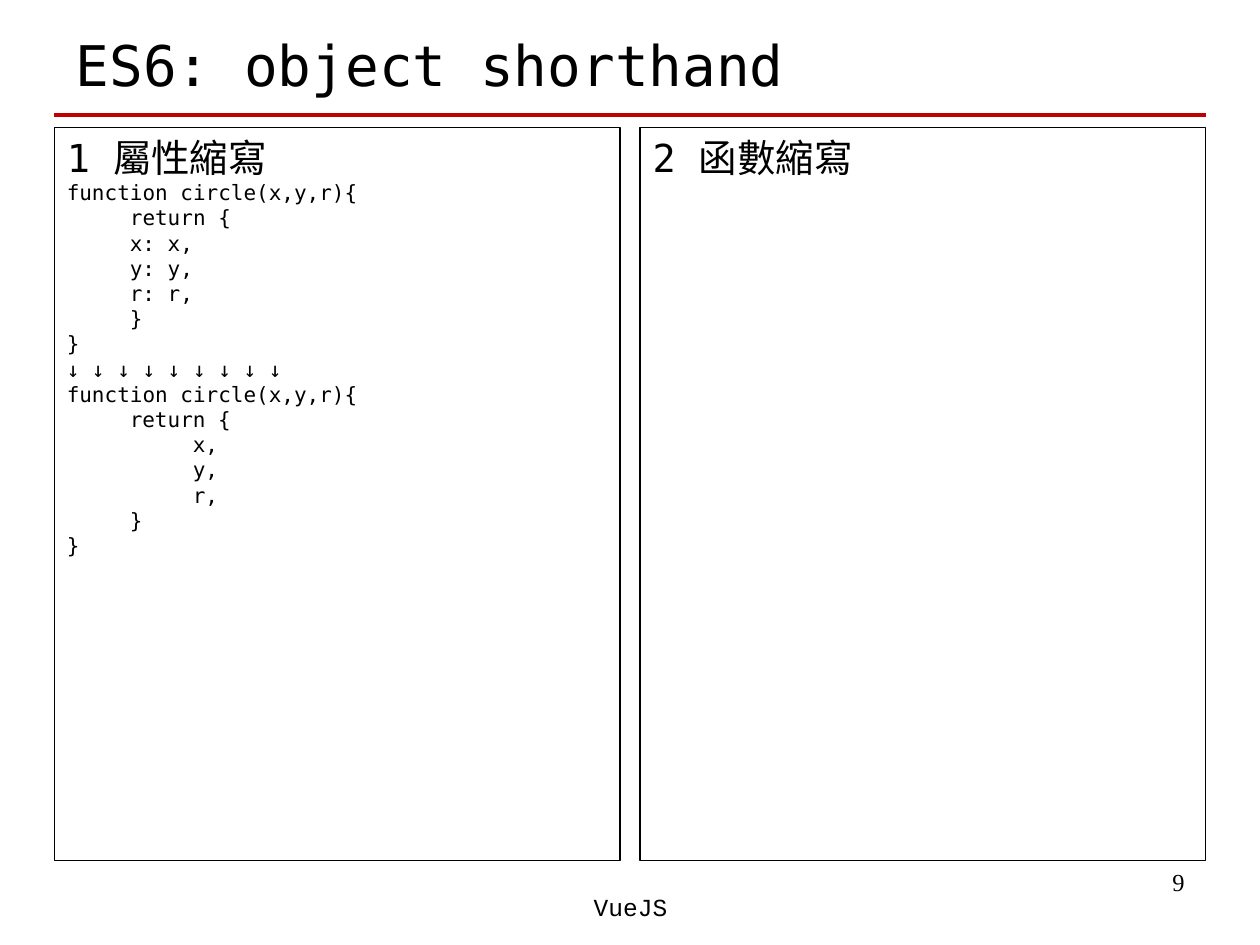
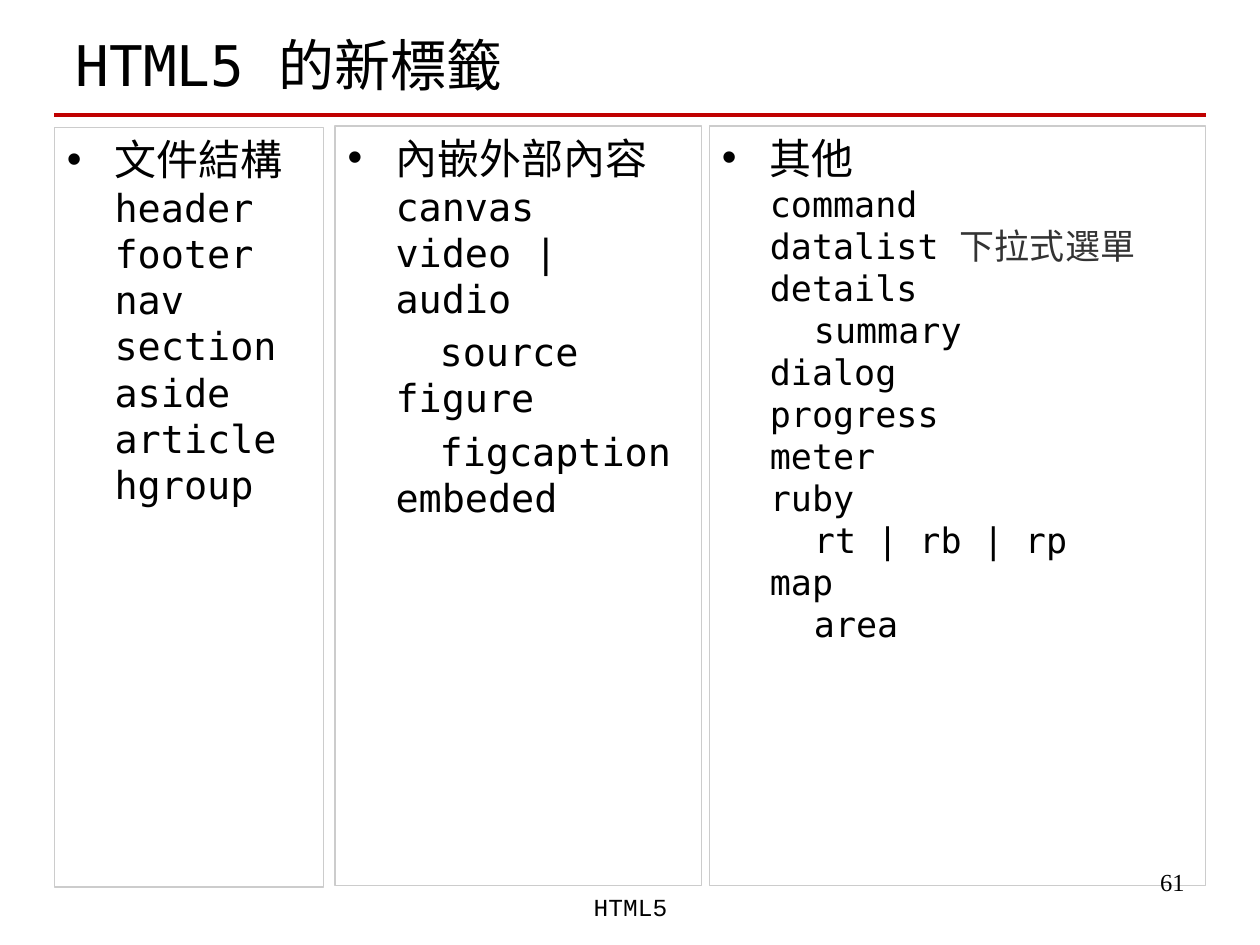
"""Build two slides of bordered panels on object shorthand and new tags."""
from dataclasses import dataclass

import lxml.etree
import pptx
import pptx.dml.color
import pptx.enum.shapes
import pptx.enum.text
import pptx.oxml.ns
import pptx.util

Inches = pptx.util.Inches
Pt = pptx.util.Pt
qn = pptx.oxml.ns.qn
Align = pptx.enum.text.PP_ALIGN
Anchor = pptx.enum.text.MSO_ANCHOR


@dataclass(frozen=True)
class Theme:
    """Colours, fonts, sizes and spacing shared by the slides."""

    ink: str = "000000"
    rule: str = "C00000"
    pale: str = "CCCCCC"
    note: str = "333333"
    mono: str = "DejaVu Sans Mono"
    cjk: str = "Noto Sans CJK TC"
    footer: str = "Courier New"
    number: str = "Times New Roman"
    title_size: int = 32
    footer_size: int = 14
    leading: float = 1.2
    hang: float = 0.38
    nest: float = 0.35
    margin: float = 0.43


THEME = Theme()


@dataclass(frozen=True)
class Line:
    """A line of a list, optionally nested or followed by a note."""

    text: str
    nested: bool = False
    note: str = ""


@dataclass(frozen=True)
class Panel:
    """A bordered panel with a heading and lines under it."""

    left: float
    top: float
    width: float
    height: float
    heading: str
    lines: tuple
    heading_size: int
    size: int
    border: str
    bulleted: bool = False
    nested_gap: int = 0


def code_panel(left, heading, code=""):
    """Describe a panel that holds a code listing."""
    lines = tuple(Line(text) for text in code.splitlines())
    return Panel(left, 1.01, 4.49, 5.82, heading, lines, 22, 12, THEME.ink)


def tag_panel(left, top, width, heading, lines, size=22, nested_gap=0):
    """Describe a panel that lists tags."""
    return Panel(left, top, width, 6.03, heading, lines, 24, size,
                 THEME.pale, True, nested_gap)


def rgb(value):
    """Turn a hex string into a colour."""
    return pptx.dml.color.RGBColor.from_string(value)


def format_run(r, size, font=THEME.mono, color=THEME.ink):
    """Set the font of a run for both Latin and Chinese text."""
    r.font.name = font
    r.font.size = Pt(size)
    r.font.bold = False
    r.font.color.rgb = rgb(color)
    latin = r.font._element.find(qn("a:latin"))
    ea = lxml.etree.Element(qn("a:ea"), typeface=THEME.cjk)
    latin.addnext(ea)


def place(sp, left, top, width, height):
    """Move and size a shape."""
    sp.left, sp.top = Inches(left), Inches(top)
    sp.width, sp.height = Inches(width), Inches(height)


def set_indent(p, margin, bulleted=False):
    """Set the indent, the bullet and one-inch tab stops of a paragraph."""
    pPr = p._p.get_or_add_pPr()
    pPr.set("marL", str(Inches(margin)))
    pPr.set("indent", str(Inches(-margin if bulleted else 0)))
    if bulleted:
        color = lxml.etree.SubElement(pPr, qn("a:buClr"))
        lxml.etree.SubElement(color, qn("a:srgbClr"), val=THEME.ink)
        lxml.etree.SubElement(pPr, qn("a:buFont"), typeface="Arial")
        lxml.etree.SubElement(pPr, qn("a:buChar"), char="•")
    else:
        lxml.etree.SubElement(pPr, qn("a:buNone"))
    tabs = lxml.etree.SubElement(pPr, qn("a:tabLst"))
    for stop in (1, 2):
        lxml.etree.SubElement(tabs, qn("a:tab"), pos=str(Inches(stop)), algn="l")


def format_line(p, text, size, gap=0):
    """Write a paragraph with fixed leading."""
    p.text = text
    p.line_spacing = Pt(size * THEME.leading)
    p.space_before = Pt(gap)
    p.space_after = Pt(0)
    format_run(p.runs[0], size)


def fill_panel(sp, panel):
    """Turn a body placeholder into a bordered panel."""
    place(sp, panel.left, panel.top, panel.width, panel.height)
    sp.fill.background()
    sp.line.color.rgb = rgb(panel.border)
    sp.line.width = Pt(0.75)
    tf = sp.text_frame
    tf.word_wrap = True
    tf.auto_size = pptx.enum.text.MSO_AUTO_SIZE.NONE
    tf.vertical_anchor = Anchor.TOP
    margin = THEME.hang if panel.bulleted else 0
    p = tf.paragraphs[0]
    set_indent(p, margin, panel.bulleted)
    format_line(p, panel.heading, panel.heading_size)
    for line in panel.lines:
        p = tf.add_paragraph()
        set_indent(p, margin + (THEME.nest if line.nested else 0))
        format_line(p, line.text, panel.size,
                    panel.nested_gap if line.nested else 0)
        if line.note:
            r = p.add_run()
            r.text = line.note
            format_run(r, panel.size, THEME.cjk, THEME.note)


def add_label(s, box, text, font, align):
    """Add a small text box at the foot of a slide."""
    sp = s.shapes.add_textbox(*map(Inches, box))
    tf = sp.text_frame
    tf.word_wrap = True
    tf.text = text
    p = tf.paragraphs[0]
    p.alignment = align
    format_run(p.runs[0], THEME.footer_size, font)


def add_rule(s):
    """Draw the rule under the title."""
    y = Inches(0.91)
    line = s.shapes.add_connector(
        pptx.enum.shapes.MSO_CONNECTOR.STRAIGHT,
        Inches(THEME.margin), y, Inches(10 - THEME.margin), y)
    line.line.color.rgb = rgb(THEME.rule)
    line.line.width = Pt(2.25)
    lxml.etree.SubElement(line._element.spPr, qn("a:effectLst"))


def set_title(s, text):
    """Place and write the slide title."""
    sp = s.shapes.title
    place(sp, 0.5, 0.13, 9, 0.76)
    tf = sp.text_frame
    tf.text = text
    tf.auto_size = pptx.enum.text.MSO_AUTO_SIZE.NONE
    tf.vertical_anchor = Anchor.MIDDLE
    p = tf.paragraphs[0]
    p.alignment = Align.LEFT
    format_run(p.runs[0], THEME.title_size)


def add_slide(prs, title, number, footer, panels):
    """Add a slide with a title, a rule, panels, a footer and a number."""
    s = prs.slides.add_slide(prs.slide_layouts.get_by_name("Comparison"))
    add_label(s, (7.17, 6.83, 2.33, 0.52), number, THEME.number, Align.RIGHT)
    set_title(s, title)
    add_rule(s)
    add_label(s, (3.42, 7.03, 3.17, 0.5), footer, THEME.footer, Align.CENTER)
    bodies = list(s.placeholders)[1:]
    for sp, panel in zip(bodies, panels):
        fill_panel(sp, panel)
    for sp in bodies[len(panels):]:
        sp._element.getparent().remove(sp._element)


SHORTHAND_CODE = """function circle(x,y,r){
     return {
\tx: x,
\ty: y,
\tr: r,
     }
}
↓ ↓ ↓ ↓ ↓ ↓ ↓ ↓ ↓
function circle(x,y,r){
\treturn {
\t\tx,
\t\ty,
\t\tr,
\t}
}"""

STRUCTURE_TAGS = tuple(Line(tag) for tag in (
    "header", "footer", "nav", "section", "aside", "article", "hgroup"))

EMBEDDING_TAGS = (
    Line("canvas"), Line("video | audio"), Line("source", nested=True),
    Line("figure"), Line("figcaption", nested=True), Line("embeded"))

OTHER_TAGS = (
    Line("command"), Line("datalist ", note="下拉式選單"),
    Line("details"), Line("summary", nested=True),
    Line("dialog"), Line("progress"), Line("meter"),
    Line("ruby"), Line("rt | rb | rp", nested=True),
    Line("map"), Line("area", nested=True))


def main():
    """Build and save the presentation."""
    prs = pptx.Presentation()
    prs.slide_width, prs.slide_height = Inches(10), Inches(7.5)
    add_slide(prs, "ES6: object shorthand", "9", "VueJS", (
        code_panel(THEME.margin, "1 屬性縮寫", SHORTHAND_CODE),
        code_panel(5.08, "2 函數縮寫")))
    add_slide(prs, "HTML5 的新標籤", "61", "HTML5", (
        tag_panel(THEME.margin, 1.01, 2.14, "文件結構", STRUCTURE_TAGS),
        tag_panel(2.66, 1, 2.91, "內嵌外部內容", EMBEDDING_TAGS, nested_gap=4),
        tag_panel(5.63, 1, 3.94, "其他", OTHER_TAGS, size=20)))
    prs.save("out.pptx")


if __name__ == "__main__":
    main()
